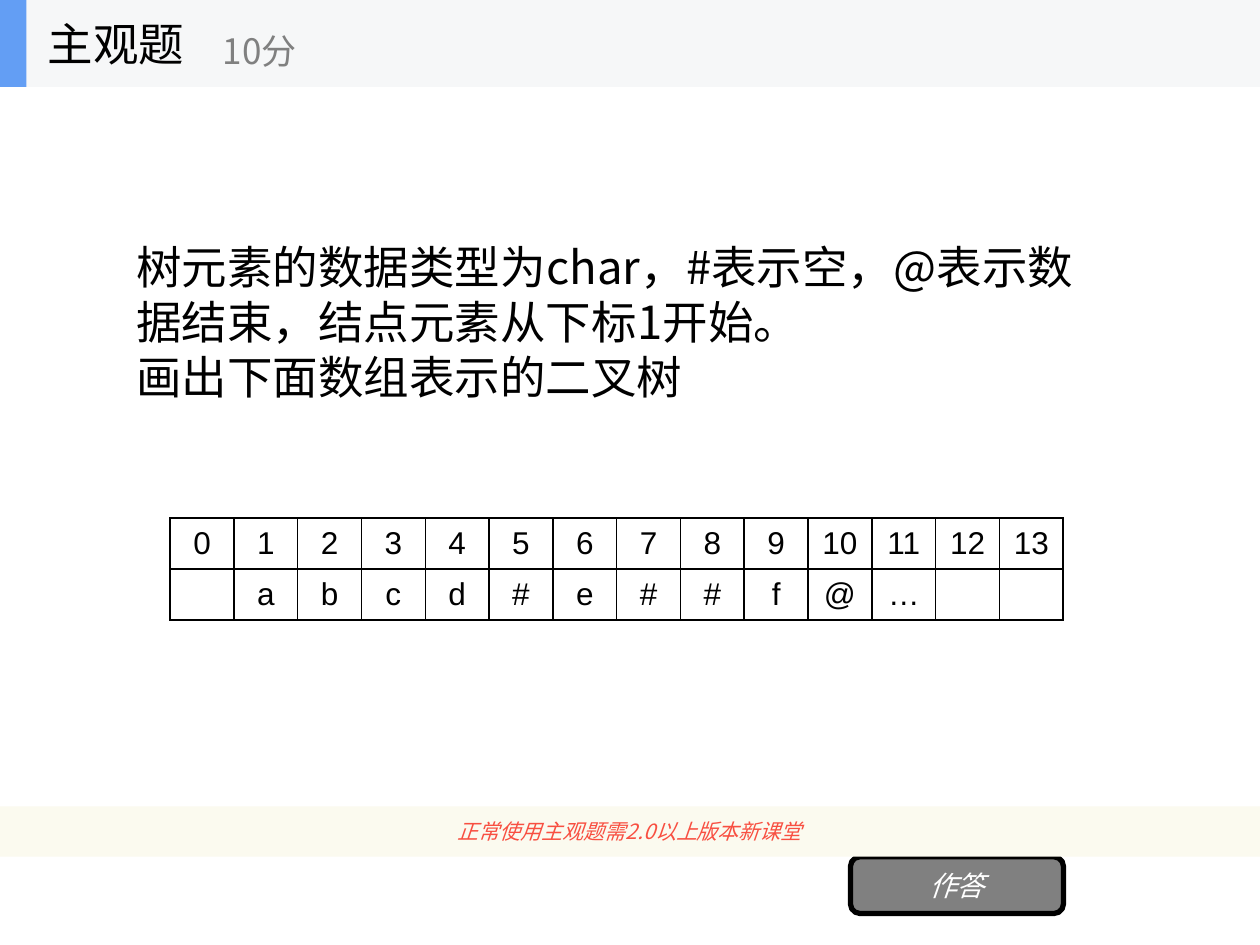
from lxml.etree import SubElement
from pptx import Presentation
from pptx.dml.color import RGBColor
from pptx.enum.shapes import MSO_SHAPE as Shape
from pptx.enum.text import MSO_ANCHOR as Anchor, MSO_AUTO_SIZE as AutoSize, PP_ALIGN as Align
from pptx.oxml.ns import qn
from pptx.util import Inches, Pt

CJK = "Noto Sans CJK SC"
TITLE = "主观题"
SCORE = "10分"
QUESTION = [
    "树元素的数据类型为char，#表示空，@表示数据结束，结点元素从下标1开始。",
    "画出下面数组表示的二叉树",
]
ANSWER = "作答"
NOTICE = "正常使用主观题需2.0以上版本新课堂"
NODES = ["", "a", "b", "c", "d", "#", "e", "#", "#", "f", "@", "…", "", ""]
ROWS = [[str(index) for index in range(len(NODES))], NODES]
TABLE_AREA = (1.35, 4.11, 7.09, 0.81)


def color(value):
    return RGBColor.from_string(value)


def place(shape, area):
    shape.left, shape.top, shape.width, shape.height = map(Inches, area)


def style(para, size, ink, align=Align.LEFT, face=CJK, italic=False):
    para.alignment = align
    font = para.font
    font.size, font.name, font.italic = Pt(size), face, italic
    font.color.rgb = color(ink)
    SubElement(font._element, qn("a:ea"), typeface=face)


def write(shape, lines, size, ink, wrap=True, plain=False, **options):
    frame = shape.text_frame
    frame.text = "\n".join(lines)
    frame.auto_size = AutoSize.NONE
    frame.word_wrap = wrap
    frame.vertical_anchor = Anchor.MIDDLE
    for para in frame.paragraphs:
        if plain:
            para.space_before = Pt(0)
            props = para._p.get_or_add_pPr()
            props.set("marL", "0")
            props.set("indent", "0")
            SubElement(props, qn("a:buNone"))
        style(para, size, ink, **options)


def add_block(page, kind, area, fill, border=None):
    block = page.shapes.add_shape(kind, *map(Inches, area))
    block.shadow.inherit = False
    block.fill.solid()
    block.fill.fore_color.rgb = color(fill)
    if border:
        block.line.color.rgb = color(border)
        block.line.width = Pt(3)
    else:
        block.line.fill.background()
    return block


def add_borders(cell):
    props = cell._tc.get_or_add_tcPr()
    for position, side in enumerate(("lnL", "lnR", "lnT", "lnB")):
        line = SubElement(props, qn(f"a:{side}"), w=str(Pt(1)))
        fill = SubElement(line, qn("a:solidFill"))
        SubElement(fill, qn("a:srgbClr"), val="000000")
        props.insert(position, line)


def add_array(page):
    table = page.shapes.add_table(len(ROWS), len(NODES), *map(Inches, TABLE_AREA)).table
    table.first_row = table.horz_banding = False
    for r, row in enumerate(ROWS):
        for c, value in enumerate(row):
            cell = table.cell(r, c)
            cell.text = value
            cell.vertical_anchor = Anchor.MIDDLE
            cell.fill.background()
            style(cell.text_frame.paragraphs[0], 18, "000000", Align.CENTER, "Arial")
            add_borders(cell)


def main():
    deck = Presentation()
    deck.slide_width, deck.slide_height = Inches(10), Inches(7.5)
    page = deck.slides.add_slide(deck.slide_layouts[1])
    title, body = page.placeholders

    place(body, (0.98, 1.02, 8, 3.06))
    write(body, QUESTION, 26, "000000", plain=True)

    button = add_block(page, Shape.ROUNDED_RECTANGLE, (6.75, 6.8, 1.69, 0.45), "808080", "000000")
    write(button, [ANSWER], 16, "FFFFFF", align=Align.CENTER, italic=True)
    banner = add_block(page, Shape.RECTANGLE, (0, 6.4, 10, 0.4), "FBFAEF")
    write(banner, [NOTICE], 12, "F84F41", wrap=False, align=Align.CENTER, italic=True)

    add_array(page)

    add_block(page, Shape.RECTANGLE, (0, 0, 10, 0.69), "F6F7F8")
    add_block(page, Shape.RECTANGLE, (0, 0, 0.21, 0.69), "639EF4")
    place(title, (0.28, 0, 2.08, 0.69))
    write(title, [TITLE], 26, "000000")
    page.shapes._spTree.append(title._element)
    score = page.shapes.add_textbox(*map(Inches, (1.67, 0.12, 2.5, 0.56)))
    write(score, [SCORE], 20, "808080")

    deck.save("out.pptx")


if __name__ == "__main__":
    main()
